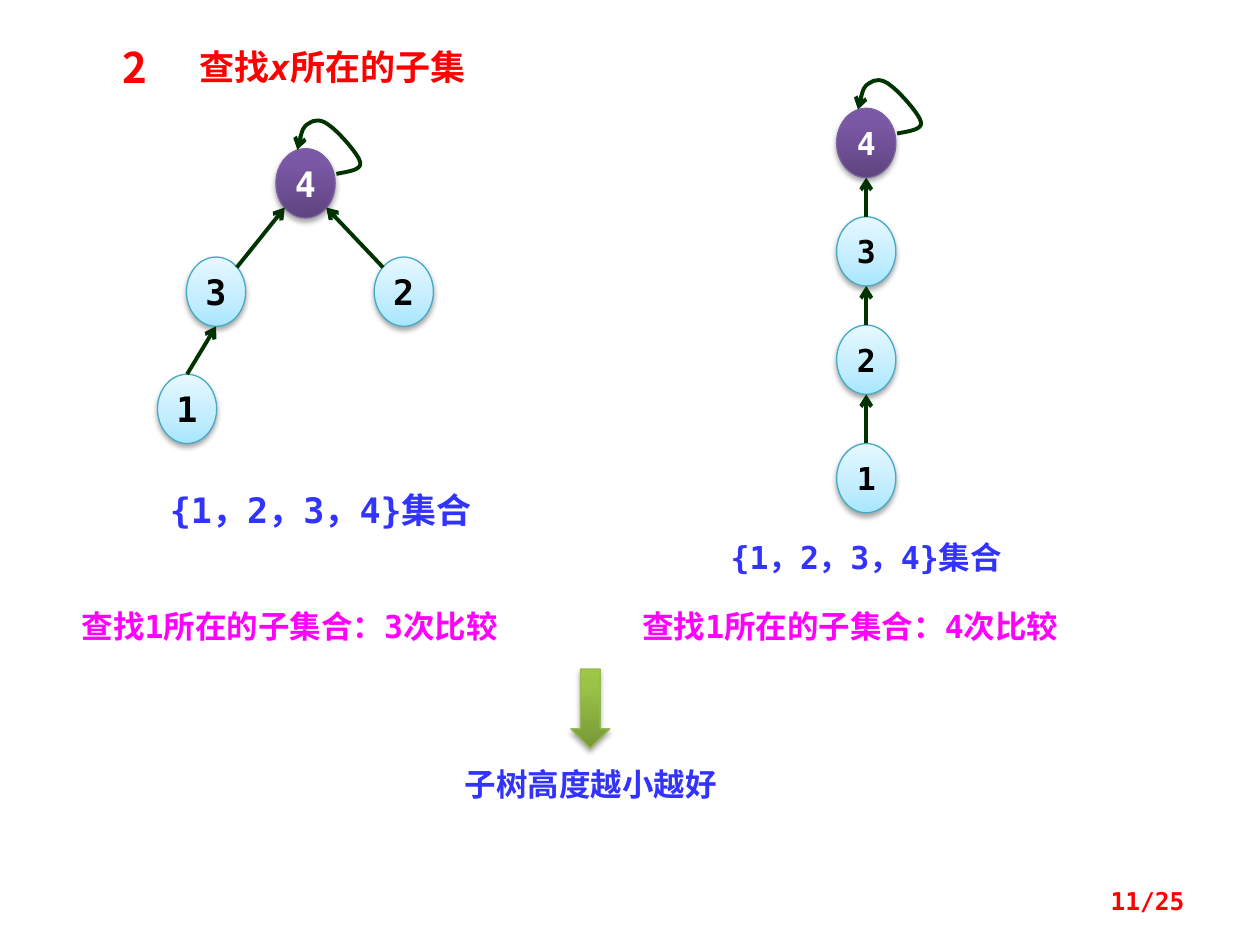
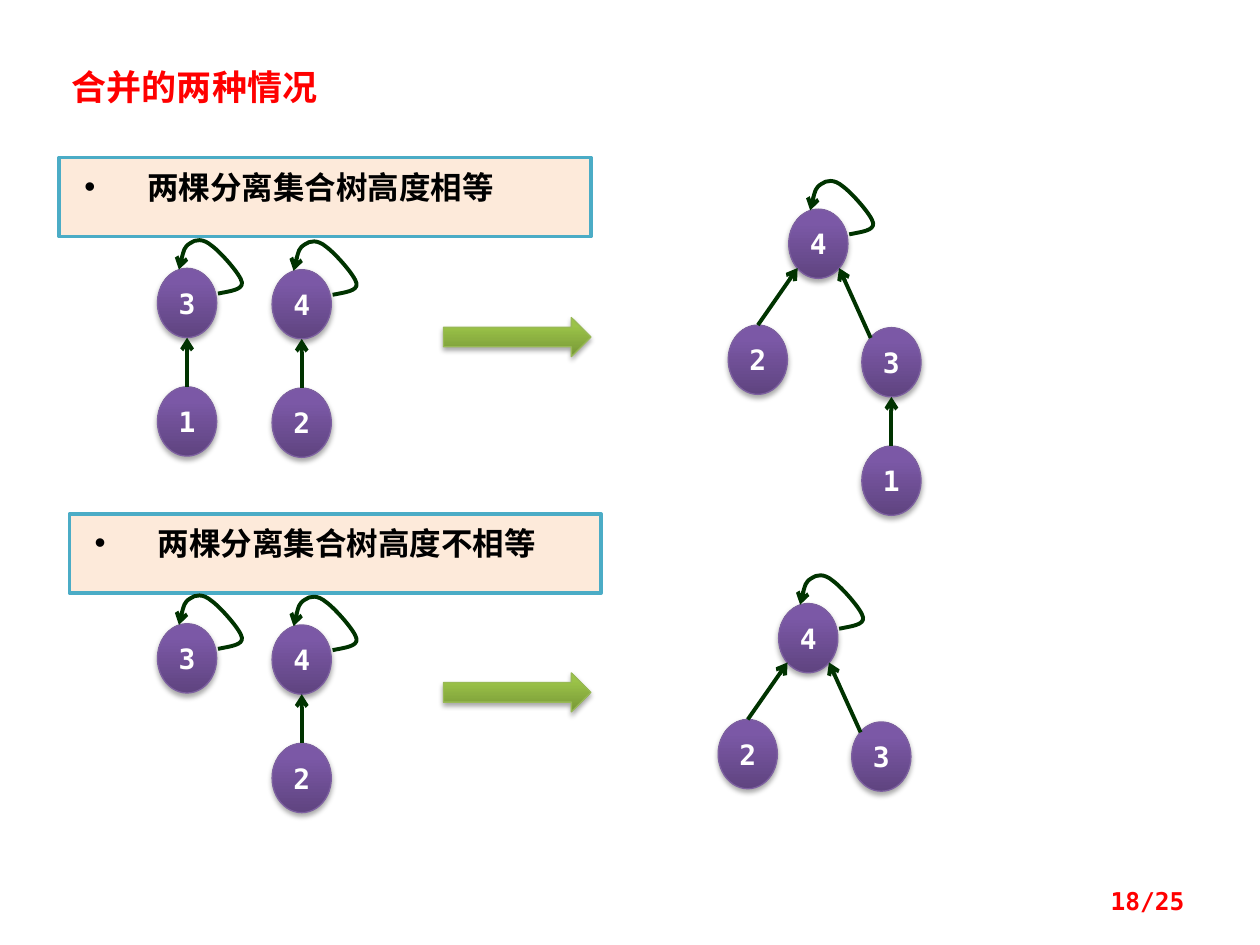
from copy import deepcopy

from lxml.etree import SubElement
from pptx import Presentation
from pptx.dml.color import RGBColor
from pptx.enum.shapes import MSO_CONNECTOR, MSO_SHAPE
from pptx.enum.text import MSO_ANCHOR, MSO_AUTO_SIZE, PP_ALIGN
from pptx.oxml.ns import qn
from pptx.util import Inches, Pt

# Shared colours and fonts
RED = RGBColor(0xFF, 0x00, 0x00)
BLUE = RGBColor(0x33, 0x33, 0xFF)
MAGENTA = RGBColor(0xFF, 0x00, 0xFF)
BLACK = RGBColor(0x00, 0x00, 0x00)
WHITE = RGBColor(0xFF, 0xFF, 0xFF)
EDGE_GREEN = RGBColor(0x00, 0x33, 0x00)
CASE_FILL = RGBColor(0xFD, 0xEA, 0xDA)
CASE_LINE = RGBColor(0x4B, 0xAC, 0xC6)
MONO = "DejaVu Sans Mono"
SANS = "Noto Sans CJK SC"

# Looks: gradient stops from bottom to top, outline, text colour
PURPLE_LOOK = ([(0, RGBColor(0x5F, 0x44, 0x80)), (0.8, RGBColor(0x7B, 0x58, 0xA6)),
                (1, RGBColor(0x7C, 0x57, 0xA8))], RGBColor(0x7D, 0x60, 0xA0), WHITE)
CYAN_LOOK = ([(0, RGBColor(0xA7, 0xE6, 0xFF)), (0.35, RGBColor(0xC1, 0xED, 0xFF)),
              (1, RGBColor(0xE7, 0xF8, 0xFF))], RGBColor(0x46, 0xAA, 0xC5), BLACK)
GREEN_LOOK = ([(0, RGBColor(0x77, 0x97, 0x37)), (0.8, RGBColor(0x9B, 0xC3, 0x48)),
               (1, RGBColor(0x9D, 0xC7, 0x46))], RGBColor(0x98, 0xB9, 0x55), WHITE)

# Tree geometry in inches; edges meet the ellipses at these points
NODE_WIDTH, NODE_HEIGHT = 0.47, 0.55
ANCHORS = {"top": (0.5, 0), "bottom": (0.5, 1),
           "top left": (0.15, 0.15), "top right": (0.85, 0.15),
           "bottom left": (0.15, 0.85), "bottom right": (0.85, 0.85)}
LOOP_POINTS = [(0.48, 0.20),
               (0.58, 0.18), (0.68, 0.17), (0.67, 0.11),
               (0.66, 0.05), (0.50, -0.13), (0.43, -0.18),
               (0.36, -0.24), (0.30, -0.23), (0.26, -0.20),
               (0.21, -0.17), (0.19, -0.08), (0.17, 0.01)]
TOTAL_PAGES = 25


def format_paragraph(paragraph, size, color, font_name=MONO, align=PP_ALIGN.LEFT):
    paragraph.alignment = align
    font = paragraph.font
    font.size, font.bold, font.name = Pt(size), True, font_name
    font.color.rgb = color
    defaults = paragraph._p.pPr.find(qn("a:defRPr"))
    SubElement(defaults, qn("a:ea"), typeface=SANS)


def place(shape, left, top, width, height):
    shape.left, shape.top = Inches(left), Inches(top)
    shape.width, shape.height = Inches(width), Inches(height)


def add_label(slide, text, box, size, color, font_name=MONO, align=PP_ALIGN.LEFT):
    label = slide.shapes.add_textbox(*map(Inches, box))
    frame = label.text_frame
    frame.word_wrap = True
    frame.text = text
    format_paragraph(frame.paragraphs[0], size, color, font_name, align)
    return label


def add_title(slide, parts, box, font_name):
    """Fill the title with (text, italic) parts."""
    title = slide.shapes.title
    place(title, *box)
    frame = title.text_frame
    frame.vertical_anchor = MSO_ANCHOR.TOP
    frame.auto_size = MSO_AUTO_SIZE.SHAPE_TO_FIT_TEXT
    paragraph = frame.paragraphs[0]
    for text, italic in parts:
        run = paragraph.add_run()
        run.text = text
        if italic:
            run.font.italic = True
    format_paragraph(paragraph, 20, RED, font_name)


def add_page_number(slide, number):
    label = add_label(slide, f"{number}/{TOTAL_PAGES}", (7.17, 6.95, 2.33, 0.4),
                      14, RED, align=PP_ALIGN.RIGHT)
    label.text_frame.vertical_anchor = MSO_ANCHOR.MIDDLE


def add_glossy_shape(slide, kind, box, look):
    """Add a preset shape with a vertical gradient and a soft shadow."""
    stops, line_color, _ = look
    shape = slide.shapes.add_shape(kind, *map(Inches, box))
    shape.fill.gradient()
    first_stop = next(shape._element.spPr.iter(qn("a:gs")))
    first_stop.addnext(deepcopy(first_stop))
    for stop, (position, color) in zip(shape.fill.gradient_stops, stops):
        stop.position, stop.color.rgb = position, color
    shape.fill.gradient_angle = 90
    shape.line.color.rgb, shape.line.width = line_color, Pt(0.75)
    # Shadow
    shape.shadow.inherit = False
    effects = shape._element.spPr.find(qn("a:effectLst"))
    shadow = SubElement(effects, qn("a:outerShdw"), blurRad=str(Pt(3.1)),
                        dist=str(Pt(1.8)), dir="5400000", rotWithShape="0")
    shadow_color = SubElement(shadow, qn("a:srgbClr"), val="000000")
    SubElement(shadow_color, qn("a:alpha"), val="35000")
    return shape


def style_edge(edge):
    edge.line.color.rgb, edge.line.width = EDGE_GREEN, Pt(2.25)
    properties = edge._element.spPr
    SubElement(properties.find(qn("a:ln")), qn("a:tailEnd"), type="arrow")
    if properties.find(qn("a:effectLst")) is None:
        SubElement(properties, qn("a:effectLst"))


def add_node(slide, value, left, top, look, size):
    node = add_glossy_shape(slide, MSO_SHAPE.OVAL,
                            (left, top, NODE_WIDTH, NODE_HEIGHT), look)
    frame = node.text_frame
    frame.margin_left = frame.margin_right = 0
    frame.vertical_anchor = MSO_ANCHOR.MIDDLE
    frame.text = str(value)
    format_paragraph(frame.paragraphs[0], size, look[2], align=PP_ALIGN.CENTER)


def add_loop(slide, left, top):
    """Draw the curved arrow from a root back to itself."""
    start, *points = [(Inches(left + x), Inches(top + y)) for x, y in LOOP_POINTS]
    builder = slide.shapes.build_freeform(*start)
    builder.add_line_segments(points, close=False)
    loop = builder.convert_to_shape()
    loop.fill.background()
    loop.shadow.inherit = False
    # Turn each three line segments into one Bezier curve
    outline = next(loop._element.spPr.iter(qn("a:path")))
    segments = outline.findall(qn("a:lnTo"))
    for index in range(0, len(segments), 3):
        curve = SubElement(outline, qn("a:cubicBezTo"))
        for segment in segments[index:index + 3]:
            curve.append(segment[0])
            outline.remove(segment)
    style_edge(loop)


def add_tree(slide, left, top, nodes, edges, size, child_look=PURPLE_LOOK):
    """Draw a tree whose root, the first node, sits at (left, top).

    nodes maps values to offsets from the root; edges are
    (child, child anchor, parent, parent anchor).
    """
    def anchor_point(value, anchor):
        x, y = nodes[value]
        across, down = ANCHORS[anchor]
        return (Inches(left + x + across * NODE_WIDTH),
                Inches(top + y + down * NODE_HEIGHT))

    for index, (value, (x, y)) in enumerate(nodes.items()):
        look = child_look if index else PURPLE_LOOK
        add_node(slide, value, left + x, top + y, look, size)
    add_loop(slide, left, top)
    for child, child_anchor, parent, parent_anchor in edges:
        edge = slide.shapes.add_connector(
            MSO_CONNECTOR.STRAIGHT, *anchor_point(child, child_anchor),
            *anchor_point(parent, parent_anchor))
        style_edge(edge)


def add_case_heading(heading, text, left, top):
    """Format a body placeholder as a boxed bullet."""
    place(heading, left, top, 4.22, 0.46)
    heading.fill.solid()
    heading.fill.fore_color.rgb = CASE_FILL
    heading.line.color.rgb, heading.line.width = CASE_LINE, Pt(2)
    frame = heading.text_frame
    frame.margin_left, frame.margin_right = Inches(0.2), Inches(0.1)
    frame.margin_top = frame.margin_bottom = Inches(0.08)
    frame.auto_size = MSO_AUTO_SIZE.SHAPE_TO_FIT_TEXT
    frame.text = text
    paragraph = frame.paragraphs[0]
    paragraph.space_before = Pt(0)
    format_paragraph(paragraph, 18, BLACK, SANS)
    properties = paragraph._p.pPr
    properties.set("marL", str(Inches(0.5)))
    properties.set("indent", str(Inches(-0.5)))


def build_find_slide(presentation):
    slide = presentation.slides.add_slide(presentation.slide_layouts[5])
    add_title(slide, [("查找", False), ("x", True), ("所在的子集", False)],
              (1.48, 0.31, 3.44, 0.44), MONO)
    add_label(slide, "2", (0.86, 0.28, 0.42, 0.5), 24, RED, SANS, PP_ALIGN.CENTER)

    # Branching tree and chain
    add_tree(slide, 2.19, 1.18,
             {4: (0, 0), 3: (-0.71, 0.86), 2: (0.78, 0.86), 1: (-0.94, 1.79)},
             [(3, "top right", 4, "bottom left"), (2, "top left", 4, "bottom right"),
              (1, "top", 3, "bottom")], 20, CYAN_LOOK)
    add_tree(slide, 6.64, 0.86,
             {4: (0, 0), 3: (0, 0.86), 2: (0, 1.72), 1: (0, 2.66)},
             [(value, "top", value + 1, "bottom") for value in (3, 2, 1)],
             18, CYAN_LOOK)

    # Set captions and comparison counts
    for left, top, size in ((1.25, 3.83, 20), (5.7, 4.22, 18)):
        add_label(slide, "{1，2，3，4}集合", (left, top, 2.73, 0.44), size, BLUE)
    for left, count in ((0.55, 3), (5, 4)):
        add_label(slide, f"查找1所在的子集合：{count}次比较",
                  (left, 4.77, 3.98, 0.4), 18, MAGENTA)

    # Conclusion
    add_glossy_shape(slide, MSO_SHAPE.DOWN_ARROW, (4.53, 5.31, 0.31, 0.63), GREEN_LOOK)
    add_label(slide, "子树高度越小越好", (3.59, 6.02, 2.58, 0.4), 18, BLUE, SANS)
    add_page_number(slide, 11)


def add_merge_case(slide, top, left_child, result, result_children):
    """Draw two trees, an arrow and the merged tree; top is that of the first root."""
    pair = {"top": 0.94}
    chain_edge = "top", "bottom"
    for left, root_top, root, child in ((1.25, top, 3, left_child),
                                        (2.16, top + 0.01, 4, 2)):
        nodes, edges = {root: (0, 0)}, []
        if child:
            nodes[child] = (0, pair["top"])
            edges.append((child, chain_edge[0], root, chain_edge[1]))
        add_tree(slide, left, root_top, nodes, edges, 16)
    add_glossy_shape(slide, MSO_SHAPE.RIGHT_ARROW, (3.52, top + 0.39, 1.17, 0.31),
                     GREEN_LOOK)
    nodes = {4: (0, 0), 2: (-0.48, 0.92), 3: (0.58, 0.94), **result_children}
    edges = [(2, "top", 4, "bottom left"), (3, "top left", 4, "bottom right")]
    edges += [(child, "top", 3, "bottom") for child in result_children]
    add_tree(slide, *result, nodes, edges, 16)


def build_merge_slide(presentation):
    slide = presentation.slides.add_slide(presentation.slide_layouts[3])
    add_title(slide, [("合并的两种情况", False)], (0.47, 0.47, 2.58, 0.44), SANS)
    equal_heading, unequal_heading = list(slide.placeholders)[1:3]

    # Equal heights
    add_case_heading(equal_heading, "两棵分离集合树高度相等", 0.47, 1.25)
    add_merge_case(slide, 2.13, 1, (6.26, 1.66), {1: (0.58, 1.88)})

    # Unequal heights
    add_case_heading(unequal_heading, "两棵分离集合树高度不相等", 0.55, 4.08)
    add_merge_case(slide, 4.95, None, (6.18, 4.79), {})
    add_page_number(slide, 18)


presentation = Presentation()
presentation.slide_width, presentation.slide_height = Inches(10), Inches(7.5)
build_find_slide(presentation)
build_merge_slide(presentation)
presentation.save("out.pptx")
